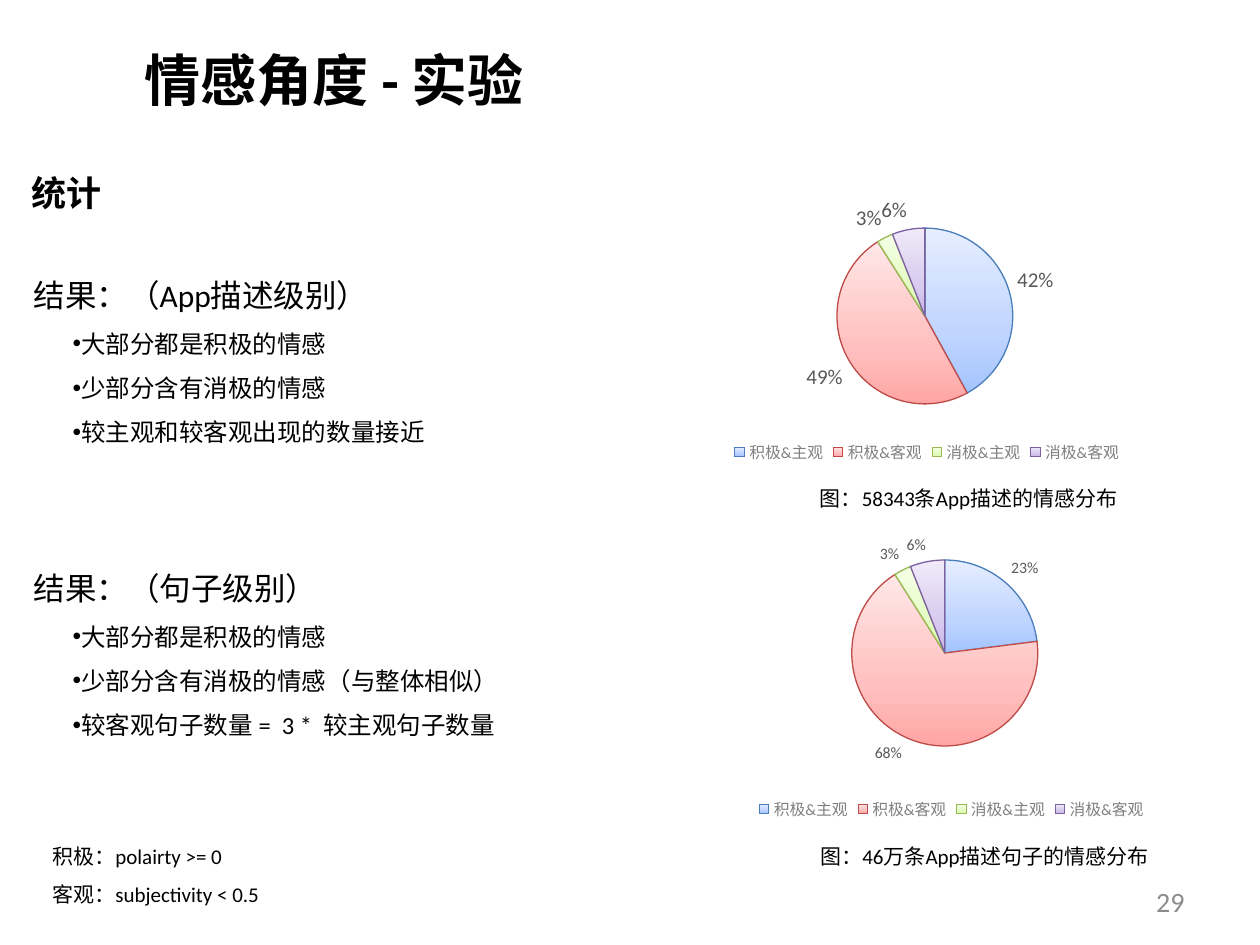
from copy import deepcopy
from pptx import Presentation
from pptx.chart.data import CategoryChartData
from pptx.dml.color import RGBColor as RGB
from pptx.enum.chart import XL_CHART_TYPE as Kind, XL_LABEL_POSITION as Spot
from pptx.enum.chart import XL_LEGEND_POSITION as Side
from pptx.enum.text import MSO_ANCHOR as Anchor, MSO_AUTO_SIZE as Fit, PP_ALIGN as Align
from pptx.oxml import parse_xml
from pptx.oxml.ns import nsdecls
from pptx.util import Pt

PX = 914400 / 126
FONT = "Calibri"
INK = {"text": "000000", "page": "8C8C8C", "label": "595959", "key": "808080"}
# Each slice: outline, then gradient stops from bottom to top
TONES = {
    "积极&主观": ("4A7EBB", "A4C4FF", "BFD4FF", "E6EEFF"),
    "积极&客观": ("BE4B48", "FFA6A5", "FFC0BF", "FFE7E7"),
    "消极&主观": ("98B954", "DAFDA7", "E4FCC2", "F5FFE7"),
    "消极&客观": ("7D60A0", "C9B5E8", "D8CBEE", "F0EAF9"),
}


def style(font, size, ink="text", bold=False):
    font.name, font.size, font.bold = FONT, Pt(size), bold
    font.color.rgb = RGB.from_string(INK[ink])


def write(shape, area, lines, size, ink="text", bold=False, align=Align.LEFT,
          space=1.5, anchor=Anchor.TOP):
    shape.left, shape.top, shape.width, shape.height = [round(v * PX) for v in area]
    frame = shape.text_frame
    frame.text = "\n".join(lines)
    frame.word_wrap, frame.auto_size = True, Fit.NONE
    frame.vertical_anchor = anchor
    for para in frame.paragraphs:
        para.alignment, para.line_spacing = align, space
        para.space_before = Pt(0)
        for run in para.runs:
            style(run.font, size, ink, bold)


deck = Presentation()
deck.slide_width, deck.slide_height = round(1260 * PX), round(945 * PX)
slide = deck.slides.add_slide(deck.slide_layouts[3])
title, *bodies = slide.placeholders

# Title
write(title, (132, 0, 1065, 158), ["情感角度 - 实验"], 32, bold=True,
      space=1, anchor=Anchor.MIDDLE)

# Result lists: a plain heading over bullets
lists = [
    (251, ["结果：（App描述级别）", "大部分都是积极的情感", "少部分含有消极的情感",
           "较主观和较客观出现的数量接近"]),
    (544, ["结果：（句子级别）", "大部分都是积极的情感", "少部分含有消极的情感（与整体相似）",
           "较客观句子数量 =  3 *  较主观句子数量"]),
]
for body, (top, lines) in zip(bodies, lists):
    write(body, (21, top, 512, 203), lines, 14)
    for i, para in enumerate(body.text_frame.paragraphs):
        props = para._p.get_or_add_pPr()
        props.set("marL", str(round(39 * PX)) if i else "0")
        props.set("indent", "0")
        mark = '<a:buChar %s char="•"/>' if i else "<a:buNone %s/>"
        props.append(parse_xml(mark % nsdecls("a")))
    style(body.text_frame.paragraphs[0].runs[0].font, 18)

# Pie charts: area, circle box (left, top, size), label size, values
pies = [
    ((690, 179, 474, 289), (837, 228, 176), 12, (42, 49, 3, 6)),
    ((706, 518, 491, 307), (852, 560, 186), 9, (23, 68, 3, 6)),
]
for area, (left, top, size), label, vals in pies:
    data = CategoryChartData()
    data.categories = list(TONES)
    data.add_series("Series 1", vals)
    chart = slide.shapes.add_chart(Kind.PIE, *[round(v * PX) for v in area], data).chart
    chart.has_title = False
    style(chart.font, 10)
    chart.has_legend = True
    chart.legend.position = Side.BOTTOM
    chart.legend.include_in_layout = False
    style(chart.legend.font, 9, "key")

    plot = chart.plots[0]
    plot.vary_by_categories = True
    plot.has_data_labels = True
    tags = plot.data_labels
    tags.show_percentage, tags.show_value = True, False
    tags.number_format, tags.number_format_is_linked = "0%", False
    tags.position = Spot.OUTSIDE_END
    style(tags.font, label, "label")

    # Slice gradients
    for i, (edge, *tones) in enumerate(TONES.values()):
        look = plot.series[0].points[i].format
        look.fill.gradient()
        look.fill.gradient_angle = 90
        ramp = chart._chartSpace.xpath(".//a:gsLst")[-1]
        ramp.insert(1, deepcopy(ramp[0]))
        for stop, tone, at in zip(look.fill.gradient_stops, tones, (0, 0.35, 1)):
            stop.color.rgb = RGB.from_string(tone)
            stop.position = at
        look.line.color.rgb = RGB.from_string(edge)
        look.line.width = Pt(0.75)

    # Circle placement as shares of the chart area
    x, y, w, h = area
    shares = {"x": (left - x) / w, "y": (top - y) / h, "w": size / w, "h": size / h}
    parts = "".join(f'<c:{k} val="{v:.3f}"/>' for k, v in shares.items())
    room = chart._chartSpace.xpath(".//c:plotArea")[0]
    for old in room.xpath("./c:layout"):
        room.remove(old)
    room.insert(0, parse_xml(
        f'<c:layout {nsdecls("c")}><c:manualLayout><c:layoutTarget val="inner"/>'
        f'<c:xMode val="edge"/><c:yMode val="edge"/>{parts}</c:manualLayout></c:layout>'))

# Section heading, captions, definitions and page number
notes = [
    ((19, 165, 452, 55), ["统计"], 20, dict(bold=True, space=1)),
    ((760, 467, 417, 50), ["图：58343条App描述的情感分布"], 12, dict(align=Align.CENTER)),
    ((760, 825, 449, 50), ["图：46万条App描述句子的情感分布"], 12, dict(align=Align.CENTER)),
    ((40, 825, 512, 89), ["积极：polairty >= 0", "客观：subjectivity < 0.5"], 12, {}),
    ((1085, 876, 112, 50), ["29"], 16,
     dict(ink="page", align=Align.RIGHT, space=1, anchor=Anchor.MIDDLE)),
]
for area, lines, size, extra in notes:
    write(slide.shapes.add_textbox(0, 0, 0, 0), area, lines, size, **extra)

deck.save("out.pptx")
